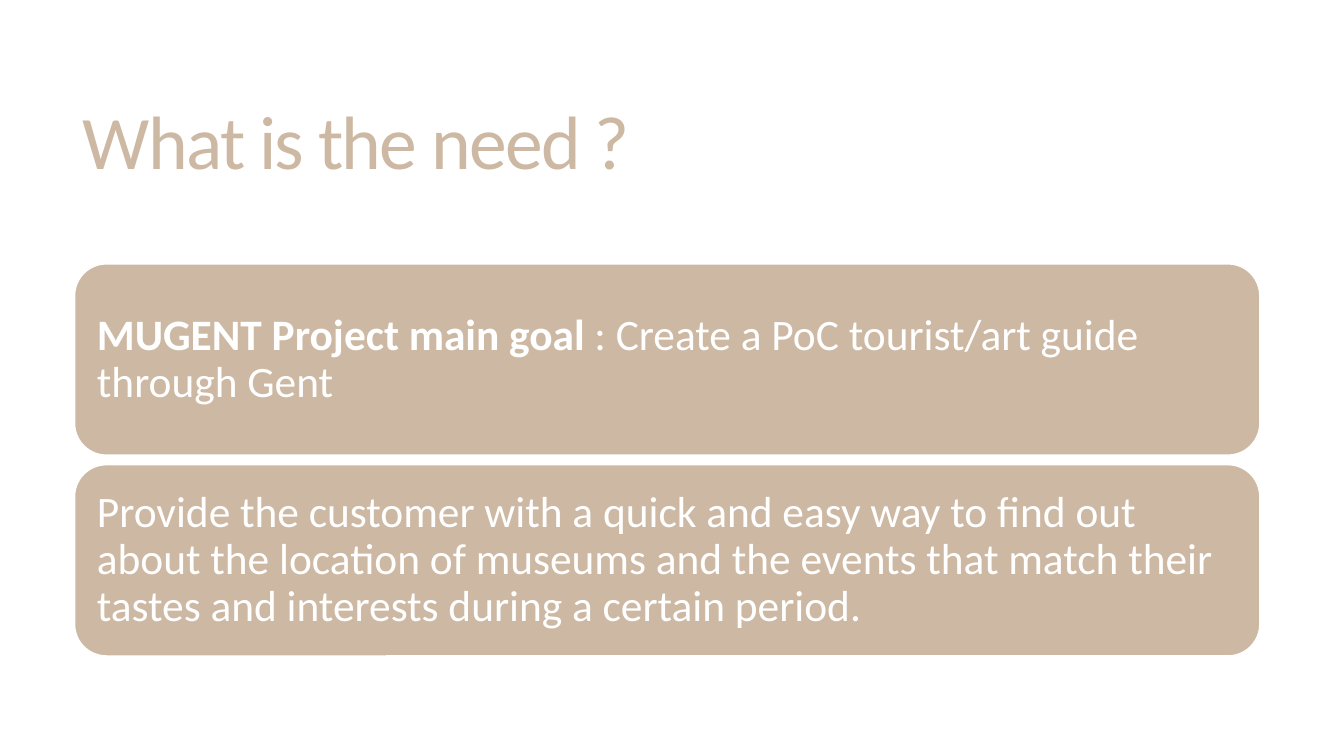
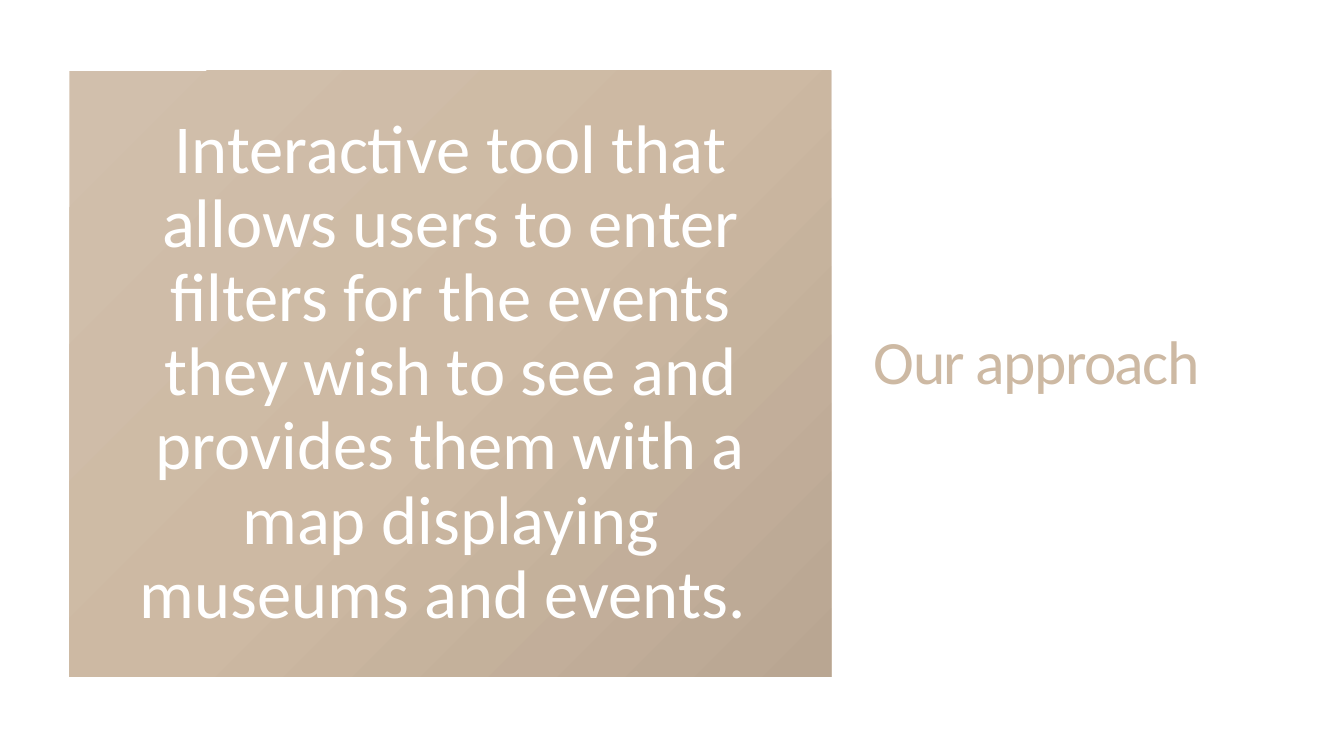
from copy import deepcopy

from pptx import Presentation
from pptx.dml.color import RGBColor
from pptx.enum.shapes import MSO_SHAPE
from pptx.enum.text import MSO_ANCHOR, MSO_AUTO_SIZE, PP_ALIGN
from pptx.oxml.ns import qn
from pptx.util import Cm, Pt

FONT = "Calibri"
SAND = "CDB9A3"
WHITE = "FFFFFF"
PANEL_GRADIENT = [(0, "D1BFAC"), (0.5, SAND), (1, "B9A692")]
TITLE_ONLY = 5

GOALS = [
    [("MUGENT Project main goal ", True),
     (": Create a PoC tourist/art guide through Gent", False)],
    [("Provide the customer with a quick and easy way to find out about the "
      "location of museums and the events that match their tastes and "
      "interests during a certain period.", False)],
]
APPROACH = [
    ("Interactive tool that allows users to enter filters for the events they "
     "wish to see and provides them with a map displaying museums and events. ",
     False),
]


def rgb(hex_color):
    """Turn a hex string into a colour."""
    return RGBColor.from_string(hex_color)


def write(shape, runs, size, color=WHITE, align=PP_ALIGN.LEFT, line_spacing=0.9,
          inset=None, tracking=None):
    """Fill a shape with one formatted paragraph of (text, bold) runs."""
    frame = shape.text_frame
    frame.word_wrap = True
    frame.auto_size = MSO_AUTO_SIZE.NONE
    frame.vertical_anchor = MSO_ANCHOR.MIDDLE
    if inset is not None:
        frame.margin_left = frame.margin_right = Cm(inset)
        frame.margin_top = frame.margin_bottom = Cm(inset)
    paragraph = frame.paragraphs[0]
    paragraph.alignment = align
    paragraph.line_spacing = line_spacing
    for text, bold in runs:
        run = paragraph.add_run()
        run.text = text
        run.font.name = FONT
        run.font.size = Pt(size)
        run.font.bold = bold
        run.font.color.rgb = rgb(color)
        if tracking is not None:
            run.font._element.set("spc", str(round(tracking * 100)))


def add_titled_slide(deck, title, size, left, top, width, height):
    """Add a slide with a placed and styled title."""
    slide = deck.slides.add_slide(deck.slide_layouts[TITLE_ONLY])
    heading = slide.shapes.title
    heading.left, heading.top = Cm(left), Cm(top)
    heading.width, heading.height = Cm(width), Cm(height)
    write(heading, [(title, False)], size, color=SAND, line_spacing=0.85,
          tracking=-1.2)
    return slide


def add_block(slide, kind, left, top, width, height):
    """Add a preset shape without a shadow."""
    block = slide.shapes.add_shape(kind, Cm(left), Cm(top), Cm(width), Cm(height))
    block.shadow.inherit = False
    return block


def add_goal_card(slide, top, runs):
    """Add a rounded sand card with white text."""
    card = add_block(slide, MSO_SHAPE.ROUNDED_RECTANGLE, 1.88, top, 29.87, 4.82)
    card.fill.solid()
    card.fill.fore_color.rgb = rgb(SAND)
    card.line.color.rgb = rgb(WHITE)
    card.line.width = Pt(1)
    write(card, runs, 31, inset=0.33)


def apply_gradient(shape, colors, angle):
    """Fill a shape with a linear gradient of (position, colour) stops."""
    shape.fill.gradient()
    shape.fill.gradient_angle = angle
    stop_list = next(shape._element.spPr.iter(qn("a:gsLst")))
    while len(stop_list) < len(colors):
        stop_list.append(deepcopy(stop_list[-1]))
    for stop, (position, color) in zip(shape.fill.gradient_stops, colors):
        stop.position = position
        stop.color.rgb = rgb(color)


def add_approach_panel(slide, runs):
    """Add the large gradient panel with centred text."""
    panel = add_block(slide, MSO_SHAPE.RECTANGLE, 1.75, 1.78, 19.2, 15.27)
    apply_gradient(panel, PANEL_GRADIENT, 315)
    panel.line.fill.background()
    write(panel, runs, 49, align=PP_ALIGN.CENTER, inset=0.97)


def main():
    """Build and save the deck."""
    deck = Presentation()
    deck.slide_width, deck.slide_height = Cm(33.87), Cm(19.05)

    need = add_titled_slide(deck, "What is the need ?", 54, 1.83, 1.4, 29.92, 4.6)
    for row, goal in enumerate(GOALS):
        add_goal_card(need, 6.65 + row * 5.06, goal)

    approach = add_titled_slide(deck, "Our approach", 44, 21.77, 1.4, 10.29, 15.65)
    add_approach_panel(approach, APPROACH)

    deck.save("out.pptx")


main()
